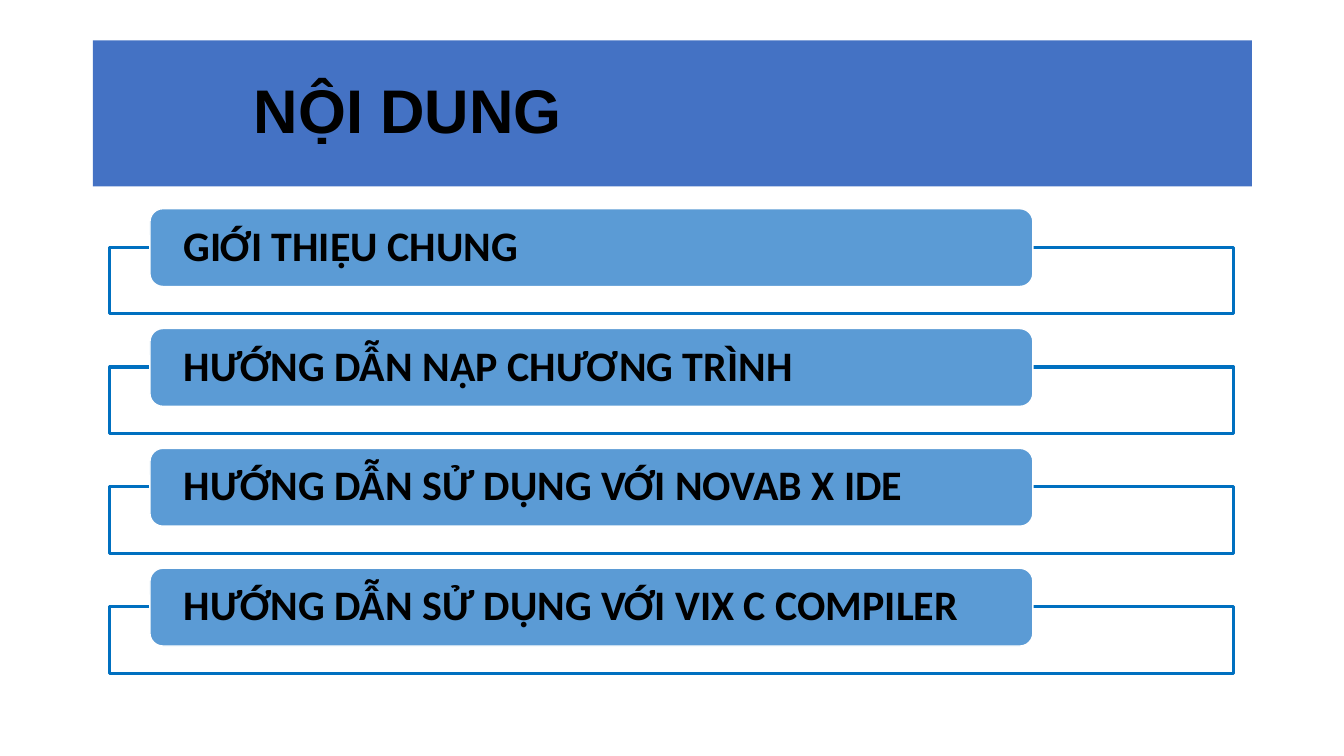
from dataclasses import dataclass

from pptx import Presentation
from pptx.dml.color import RGBColor
from pptx.enum.shapes import MSO_SHAPE
from pptx.enum.text import MSO_ANCHOR, PP_ALIGN
from pptx.util import Cm, Pt

TITLE = "NỘI DUNG"
SECTIONS = [
    "GIỚI THIỆU CHUNG",
    "HƯỚNG DẪN NẠP CHƯƠNG TRÌNH",
    "HƯỚNG DẪN SỬ DỤNG VỚI NOVAB X IDE",
    "HƯỚNG DẪN SỬ DỤNG VỚI VIX C COMPILER",
]


@dataclass(frozen=True)
class Theme:
    banner: RGBColor = RGBColor(0x44, 0x72, 0xC4)
    bar: RGBColor = RGBColor(0x5B, 0x9B, 0xD5)
    frame: RGBColor = RGBColor(0x00, 0x70, 0xC0)
    edge: RGBColor = RGBColor(0xFF, 0xFF, 0xFF)
    text: RGBColor = RGBColor(0x00, 0x00, 0x00)
    title_font: str = "Arial"
    section_font: str = "Calibri"
    title_size: Pt = Pt(44)
    section_size: Pt = Pt(30)


THEME = Theme()
FIRST_BAR_TOP = 5.26
PITCH = 3.02
FRAME_DROP = 0.97


def add_box(slide, kind, bounds, fill=None, line=None, line_width=1):
    shape = slide.shapes.add_shape(kind, *(Cm(length) for length in bounds))
    shape.shadow.inherit = False
    if fill is None:
        shape.fill.background()
    else:
        shape.fill.solid()
        shape.fill.fore_color.rgb = fill
    if line is None:
        shape.line.fill.background()
    else:
        shape.line.color.rgb = line
        shape.line.width = Pt(line_width)
    return shape


def write(shape, text, font, size, inset):
    frame = shape.text_frame
    frame.word_wrap = True
    frame.vertical_anchor = MSO_ANCHOR.MIDDLE
    frame.margin_left = Cm(inset)
    frame.margin_top = frame.margin_bottom = 0
    paragraph = frame.paragraphs[0]
    paragraph.alignment = PP_ALIGN.LEFT
    paragraph.line_spacing = 0.9
    run = paragraph.add_run()
    run.text = text
    run.font.name = font
    run.font.size = size
    run.font.bold = True
    run.font.color.rgb = THEME.text


def main():
    presentation = Presentation()
    presentation.slide_width = Cm(33.87)
    presentation.slide_height = Cm(19.05)
    slide = presentation.slides.add_slide(presentation.slide_layouts[6])

    banner = add_box(slide, MSO_SHAPE.RECTANGLE, (2.34, 1.02, 29.21, 3.68), THEME.banner)
    write(banner, TITLE, THEME.title_font, THEME.title_size, 4.06)

    for index, section in enumerate(SECTIONS):
        top = FIRST_BAR_TOP + index * PITCH
        add_box(slide, MSO_SHAPE.RECTANGLE, (2.77, top + FRAME_DROP, 28.32, 1.68),
                line=THEME.frame, line_width=2.25)
        bar = add_box(slide, MSO_SHAPE.ROUNDED_RECTANGLE, (3.78, top, 22.25, 1.96),
                      THEME.bar, THEME.edge)
        write(bar, section, THEME.section_font, THEME.section_size, 0.76)

    presentation.save("out.pptx")


if __name__ == "__main__":
    main()
